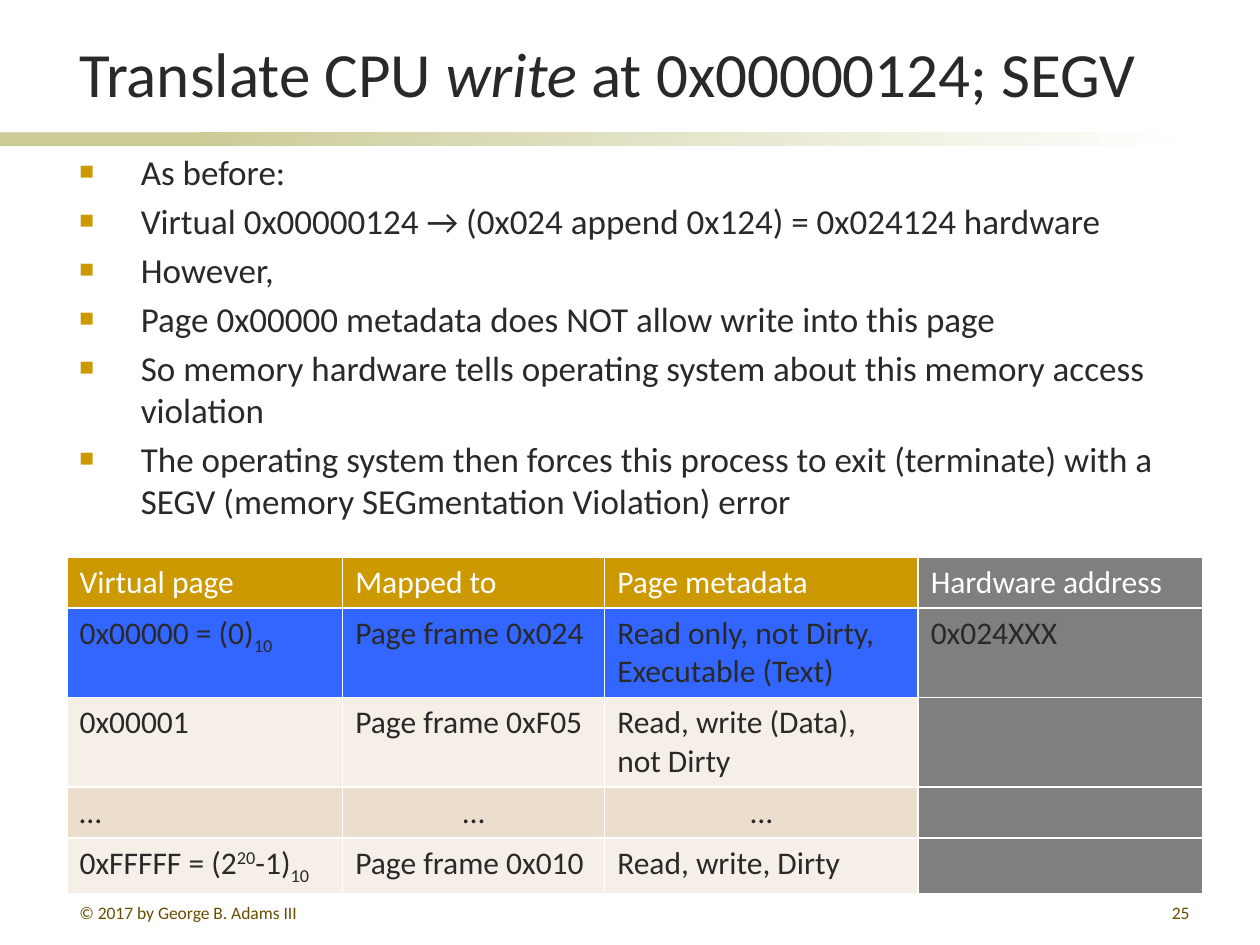
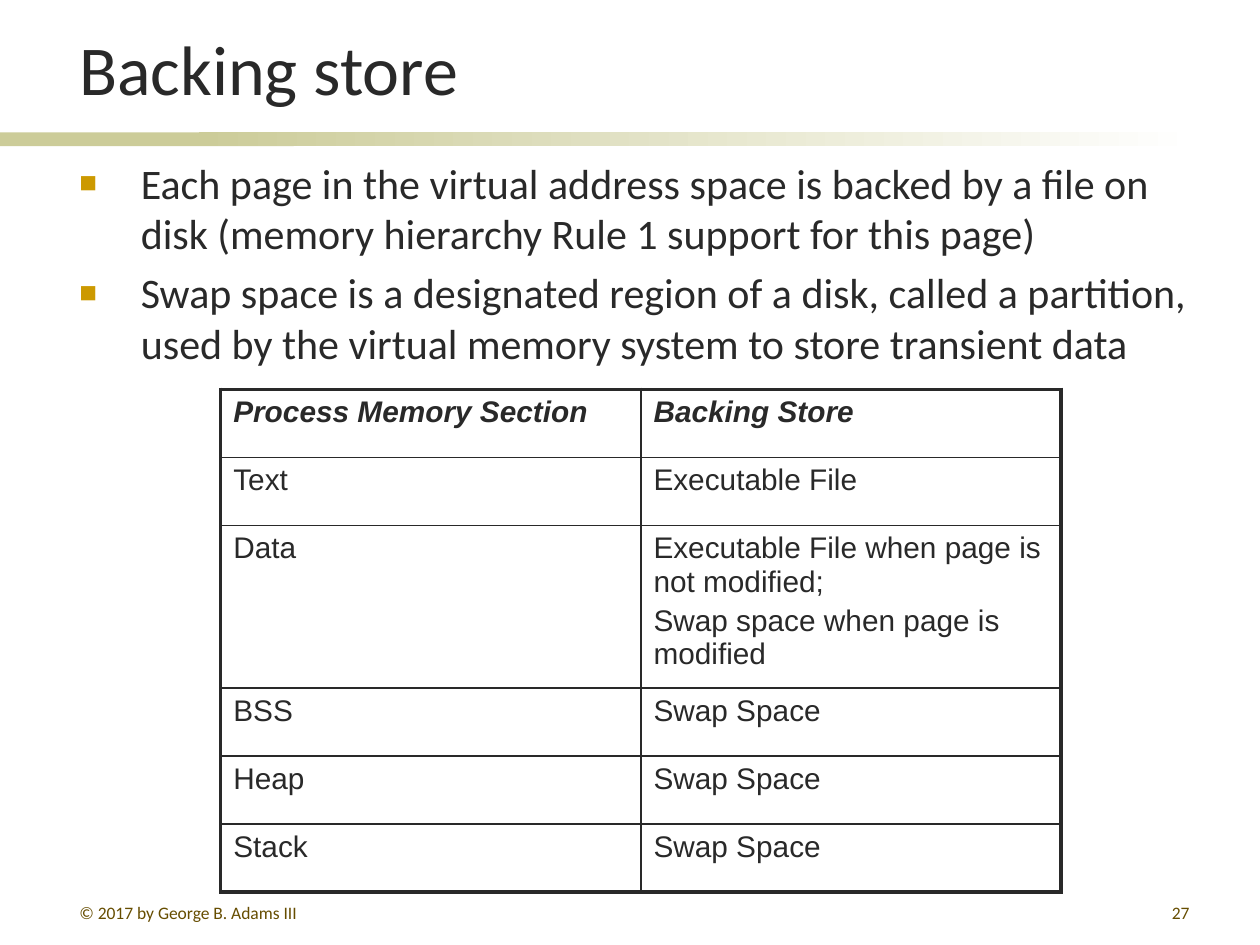
from dataclasses import dataclass
from lxml.etree import SubElement as add_element
from pptx import Presentation
from pptx.dml.color import RGBColor as Color
from pptx.enum.shapes import MSO_SHAPE as Shape
from pptx.enum.text import MSO_ANCHOR as Anchor, PP_ALIGN as Align
from pptx.oxml.ns import qn
from pptx.util import Cm, Pt


@dataclass(frozen=True)
class Theme:
    ink: str = "292929"
    white: str = "FFFFFF"
    band: str = "CCCC99"
    accent: str = "CC9900"
    footer: str = "664D00"
    grey: str = "7F7F7F"
    highlight: str = "3366FF"
    pale: str = "F6EFE7"
    sand: str = "ECDECC"
    font: str = "Calibri"
    table_font: str = "Arial"
    page_table_size: int = 18
    store_table_size: int = 17
    footer_size: int = 10
    bullet_percent: int = 70
    space_ratio: float = 0.2
    thin: float = 1
    thick: float = 2.25


THEME = Theme()
COPYRIGHT = "© 2017 by George B. Adams III"
LEFT, WIDTH = 1.35, 22.91

SEGV = {
    "title": ["Translate CPU ", ("write ", {"italic": True}), "at 0x00000124; SEGV"],
    "title_size": 36,
    "body": [
        "As before:",
        "Virtual 0x00000124 → (0x024 append 0x124) = 0x024124 hardware",
        "However,",
        "Page 0x00000 metadata does NOT allow write into this page",
        "So memory hardware tells operating system about this memory access violation",
        "The operating system then forces this process to exit (terminate) with a SEGV "
        "(memory SEGmentation Violation) error",
    ],
    "body_size": 20,
    "body_top": 2.9,
    "number": "25",
}
BACKING = {
    "title": "Backing store",
    "title_size": 40,
    "body": [
        "Each page in the virtual address space is backed by a file on disk "
        "(memory hierarchy Rule 1 support for this page)",
        "Swap space is a designated region of a disk, called a partition, used by the "
        "virtual memory system to store transient data",
    ],
    "body_size": 24,
    "body_top": 3.05,
    "number": "27",
}

SUB, SUPER = {"baseline": -25}, {"baseline": 30}
PAGE_COLUMNS = [5.56, 5.28, 6.32, 5.74]
PAGE_ROWS = [
    (1.03, THEME.accent, ["Virtual page", "Mapped to", "Page metadata", "Hardware address"]),
    (1.8, THEME.highlight, [["0x00000 = (0)", ("10", SUB)], "Page frame 0x024",
                            "Read only, not Dirty, Executable (Text)", "0x024XXX"]),
    (1.8, THEME.pale, ["0x00001", "Page frame 0xF05", "Read, write (Data), not Dirty", ""]),
    (1.03, THEME.sand, ["…", "…", "…", ""]),
    (1.1, THEME.pale, [["0xFFFFF = (2", ("20", SUPER), "-1)", ("10", SUB)],
                       "Page frame 0x010", "Read, write, Dirty", ""]),
]
STORE_COLUMNS = [8.47, 8.47]
STORE_ROWS = [
    (1.37, ["Process Memory Section", "Backing Store"]),
    (1.37, ["Text", "Executable File"]),
    (3.28, ["Data", ("Executable File when page is not modified;",
                     "Swap space when page is modified")]),
    (1.37, ["BSS", "Swap Space"]),
    (1.37, ["Heap", "Swap Space"]),
    (1.37, ["Stack", "Swap Space"]),
]


def add_bullet(para):
    properties = para._p.get_or_add_pPr()
    properties.set("marL", str(Cm(1.24)))
    properties.set("indent", str(-Cm(1.24)))
    colour = add_element(properties, qn("a:buClr"))
    add_element(colour, qn("a:srgbClr"), val=THEME.accent)
    add_element(properties, qn("a:buSzPct"), val=str(THEME.bullet_percent * 1000))
    add_element(properties, qn("a:buFont"), typeface=THEME.table_font)
    add_element(properties, qn("a:buChar"), char="■")


def write(frame, paragraphs, size, color=THEME.ink, font=THEME.font, align=Align.LEFT,
          bold=False, italic=False, bullet=False):
    for index, content in enumerate(paragraphs):
        para = frame.add_paragraph() if index else frame.paragraphs[0]
        para.alignment = align
        if bullet:
            add_bullet(para)
        if index:
            para.space_before = Pt(size * THEME.space_ratio)
        para.font.size = Pt(size)
        for part in [content] if isinstance(content, str) else content:
            words, extra = (part, {}) if isinstance(part, str) else part
            if not words:
                continue
            span = para.add_run()
            span.text = words
            span.font.name = font
            span.font.size = Pt(size)
            span.font.bold = bold
            span.font.italic = extra.get("italic", italic)
            span.font.color.rgb = Color.from_string(color)
            if "baseline" in extra:
                span._r.get_or_add_rPr().set("baseline", str(extra["baseline"] * 1000))


def add_box(page, left, top, width, height, paragraphs, anchor=Anchor.TOP, **style):
    box = page.shapes.add_textbox(Cm(left), Cm(top), Cm(width), Cm(height))
    box.text_frame.word_wrap = True
    box.text_frame.vertical_anchor = anchor
    write(box.text_frame, paragraphs, **style)


def add_band(page, left, width, fades):
    band = page.shapes.add_shape(Shape.RECTANGLE, Cm(left), Cm(2.67), Cm(width), Cm(0.28))
    band.shadow.inherit = False
    band.line.fill.background()
    if fades:
        band.fill.gradient()
        band.fill.gradient_angle = 0
        for stop, color in zip(band.fill.gradient_stops, (THEME.band, THEME.white)):
            stop.color.rgb = Color.from_string(color)
    else:
        band.fill.solid()
        band.fill.fore_color.rgb = Color.from_string(THEME.band)


def add_page(deck, content):
    page = deck.slides.add_slide(deck.slide_layouts[6])
    add_band(page, 0, 5.92, False)
    add_band(page, 4.01, 20.12, True)
    add_box(page, LEFT, 0.28, WIDTH, 2.06, [content["title"]],
            anchor=Anchor.BOTTOM, size=content["title_size"])
    add_box(page, LEFT, content["body_top"], WIDTH, 13.69, content["body"],
            size=content["body_size"], bullet=True)
    footer = {"size": THEME.footer_size, "color": THEME.footer}
    add_box(page, LEFT, 18.06, 5.51, 0.53, [COPYRIGHT], **footer)
    add_box(page, 18.95, 18.06, 5.28, 0.53, [content["number"]], align=Align.RIGHT, **footer)
    return page


def add_grid(page, left, top, columns, heights):
    frame = page.shapes.add_table(len(heights), len(columns), Cm(left), Cm(top),
                                  Cm(sum(columns)), Cm(sum(heights)))
    table = frame.table
    table.first_row = table.horz_banding = False
    for column, width in zip(table.columns, columns):
        column.width = Cm(width)
    for row, height in zip(table.rows, heights):
        row.height = Cm(height)
    return table


def set_borders(cell, color, widths):
    properties = cell._tc.get_or_add_tcPr()
    for side, width in zip("LRTB", widths):
        line = add_element(properties, qn(f"a:ln{side}"), w=str(Pt(width)))
        fill = add_element(line, qn("a:solidFill"))
        add_element(fill, qn("a:srgbClr"), val=color)


def add_page_table(page):
    table = add_grid(page, LEFT, 11.23, PAGE_COLUMNS, [height for height, _, _ in PAGE_ROWS])
    last = len(PAGE_COLUMNS) - 1
    for r, (_, fill, texts) in enumerate(PAGE_ROWS):
        for c, text in enumerate(texts):
            cell = table.cell(r, c)
            set_borders(cell, THEME.white, [THEME.thin] * 4)
            cell.fill.solid()
            cell.fill.fore_color.rgb = Color.from_string(THEME.grey if c == last else fill)
            write(cell.text_frame, [text], size=THEME.page_table_size,
                  color=THEME.ink if r else THEME.white,
                  align=Align.CENTER if c and text == "…" else Align.LEFT)


def add_store_table(page):
    table = add_grid(page, 4.45, 7.85, STORE_COLUMNS, [height for height, _ in STORE_ROWS])
    bottom, right = len(STORE_ROWS) - 1, len(STORE_COLUMNS) - 1
    for r, (_, texts) in enumerate(STORE_ROWS):
        for c, text in enumerate(texts):
            cell = table.cell(r, c)
            outer = (c == 0, c == right, r == 0, r == bottom)
            set_borders(cell, THEME.ink, [THEME.thick if edge else THEME.thin for edge in outer])
            cell.fill.background()
            write(cell.text_frame, [text] if isinstance(text, str) else text,
                  size=THEME.store_table_size, font=THEME.table_font,
                  bold=r == 0, italic=r == 0)


def main():
    deck = Presentation()
    deck.slide_width, deck.slide_height = Cm(25.4), Cm(19.05)
    add_page_table(add_page(deck, SEGV))
    add_store_table(add_page(deck, BACKING))
    deck.save("out.pptx")


if __name__ == "__main__":
    main()
